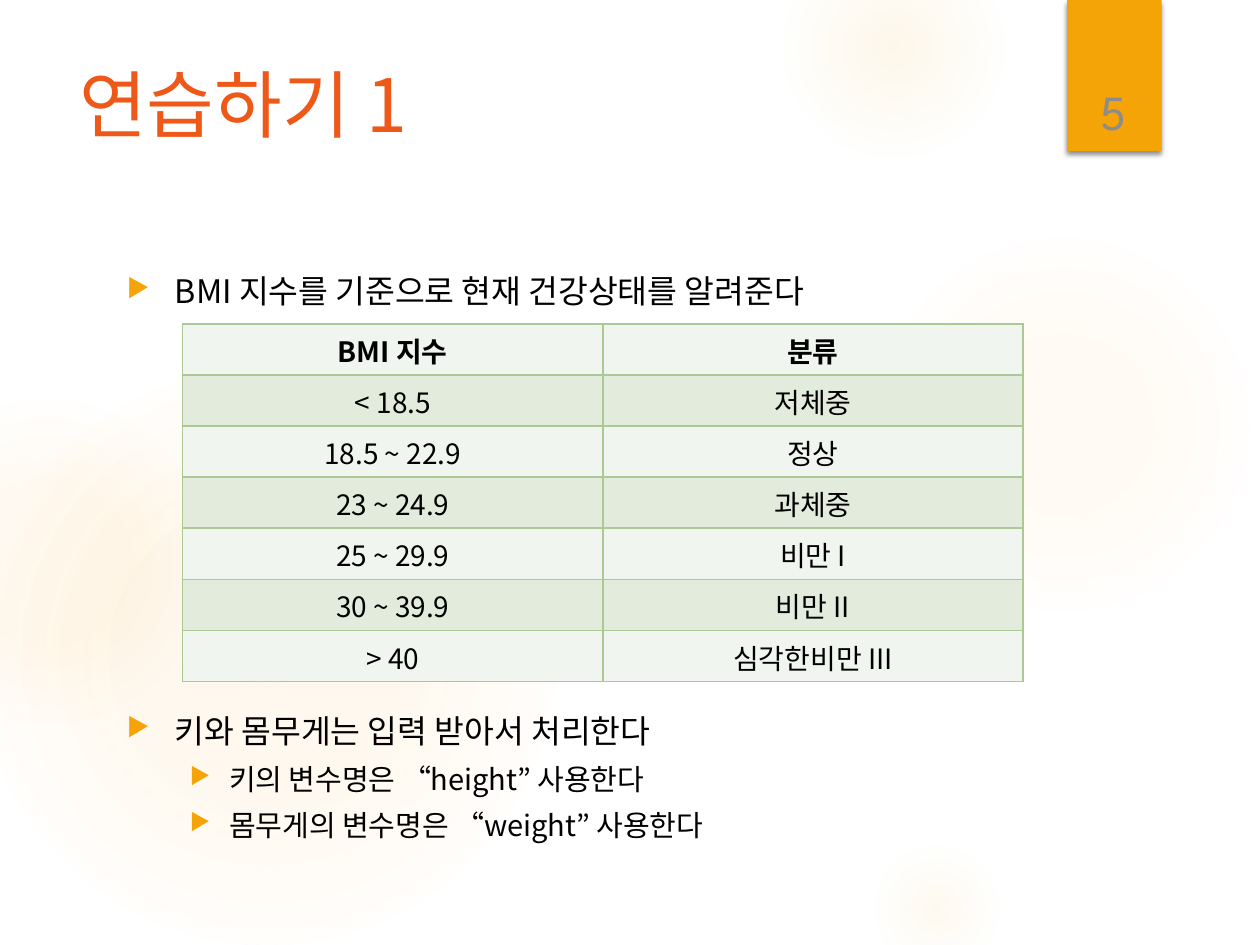
import pptx
import pptx.dml.color
import pptx.enum.shapes
import pptx.enum.text
import pptx.oxml
import pptx.oxml.ns
import pptx.util
from dataclasses import dataclass
from typing import Any

Inches = pptx.util.Inches
Pt = pptx.util.Pt
RGBColor = pptx.dml.color.RGBColor
Align = pptx.enum.text.PP_ALIGN
Anchor = pptx.enum.text.MSO_ANCHOR
ShapeType = pptx.enum.shapes.MSO_SHAPE

AMBER = RGBColor(0xF5, 0xA4, 0x08)
GLOW = RGBColor(0xFA, 0xC9, 0x6A)
ORANGE = RGBColor(0xEE, 0x58, 0x18)
BLACK = RGBColor(0, 0, 0)
GRAY = RGBColor(0x8C, 0x8C, 0x8C)
BORDER = RGBColor(0xAC, 0xC9, 0x95)
ROW_FILLS = (RGBColor(0xF1, 0xF5, 0xEF), RGBColor(0xE3, 0xEB, 0xDD))
KOREAN_FONT = "Noto Sans CJK KR"
NUMBER_FONT = "League Spartan"
NAMESPACE = pptx.oxml.ns.nsdecls("a")


@dataclass(frozen=True)
class GlowCircle:
    left: float
    top: float
    size: float
    stops: tuple[tuple[int, int], ...]


@dataclass(frozen=True)
class BulletLine:
    text: str
    size: float
    level: int = 0
    space_before: float = 0


CIRCLES = (
    GlowCircle(6.89, 1.83, 3.08, ((0, 7), (36, 6), (69, 0))),
    GlowCircle(6.22, -0.5, 1.75, ((0, 14), (36, 7), (73, 0))),
    GlowCircle(6.89, 6.67, 1.08, ((0, 10), (31, 5), (66, 0))),
    GlowCircle(-0.17, 2.92, 4.58, ((0, 11), (36, 10), (75, 0))),
    GlowCircle(-0.92, 3.17, 2.58, ((0, 8), (36, 8), (72, 0))),
)
BULLETS = (
    BulletLine("BMI 지수를 기준으로 현재 건강상태를 알려준다", 18.5),
    BulletLine("키와 몸무게는 입력 받아서 처리한다", 18.5, space_before=231),
    BulletLine("키의 변수명은 “height” 사용한다", 16.6, 1, 8.5),
    BulletLine("몸무게의 변수명은 “weight” 사용한다", 16.6, 1, 8.5),
)
INDENTS = ((0.38, -0.38), (0.81, -0.31))
BMI_ROWS = (
    ("BMI 지수", "분류"),
    ("< 18.5", "저체중"),
    ("18.5 ~ 22.9", "정상"),
    ("23 ~ 24.9", "과체중"),
    ("25 ~ 29.9", "비만 I"),
    ("30 ~ 39.9", "비만 II"),
    ("> 40", "심각한비만 III"),
)


def set_attributes(target: Any, values: dict[str, Any]) -> None:
    for name, value in values.items():
        setattr(target, name, value)


def append_xml(parent: Any, markup: str) -> None:
    parent.append(pptx.oxml.parse_xml(markup))


def add_run(paragraph: Any, text: str, size: float, color: RGBColor,
            font_name: str = KOREAN_FONT, bold: bool = False) -> None:
    run = paragraph.add_run()
    run.text = text
    set_attributes(run.font, {"size": Pt(size), "name": font_name, "bold": bold})
    run.font.color.rgb = color
    append_xml(run.font._element, f'<a:ea {NAMESPACE} typeface="{font_name}"/>')


def add_text_frame(slide: Any, left: float, top: float, width: float, height: float,
                   anchor: Any = Anchor.TOP) -> Any:
    box = slide.shapes.add_textbox(Inches(left), Inches(top), Inches(width), Inches(height))
    set_attributes(box.text_frame, {"word_wrap": True, "vertical_anchor": anchor})
    return box.text_frame


def add_plain_shape(slide: Any, kind: Any, left: float, top: float,
                    width: float, height: float) -> Any:
    shape = slide.shapes.add_shape(kind, Inches(left), Inches(top), Inches(width), Inches(height))
    shape.shadow.inherit = False
    shape.line.fill.background()
    return shape


def draw_circle(slide: Any, circle: GlowCircle) -> None:
    shape = add_plain_shape(slide, ShapeType.OVAL, circle.left, circle.top,
                            circle.size, circle.size)
    stops = "".join(
        f'<a:gs pos="{position * 1000}"><a:srgbClr val="{GLOW}">'
        f'<a:alpha val="{alpha * 1000}"/></a:srgbClr></a:gs>'
        for position, alpha in circle.stops
    )
    gradient = pptx.oxml.parse_xml(
        f'<a:gradFill {NAMESPACE} rotWithShape="1"><a:gsLst>{stops}</a:gsLst>'
        '<a:path path="circle"><a:fillToRect l="50000" t="50000" r="50000" b="50000"/>'
        '</a:path></a:gradFill>'
    )
    properties = shape._element.spPr
    properties.find(pptx.oxml.ns.qn("a:prstGeom")).addnext(gradient)


def draw_page_tab(slide: Any) -> None:
    tab = add_plain_shape(slide, ShapeType.RECTANGLE, 8.47, 0, 0.75, 1.2)
    tab.fill.solid()
    tab.fill.fore_color.rgb = AMBER
    append_xml(
        tab._element.spPr.find(pptx.oxml.ns.qn("a:effectLst")),
        f'<a:outerShdw {NAMESPACE} blurRad="{Pt(3)}" dist="{Pt(2)}" dir="5400000" '
        f'rotWithShape="0"><a:srgbClr val="{BLACK}"><a:alpha val="45000"/>'
        '</a:srgbClr></a:outerShdw>',
    )


def draw_title(slide: Any) -> None:
    paragraph = add_text_frame(slide, 0.53, 0.5, 7.72, 1.53).paragraphs[0]
    paragraph.line_spacing = 0.9
    add_run(paragraph, "연습하기 1", 42, ORANGE)


def draw_bullets(slide: Any) -> None:
    frame = add_text_frame(slide, 0.91, 2.14, 7.34, 4.59)
    for index, line in enumerate(BULLETS):
        paragraph = frame.add_paragraph() if index else frame.paragraphs[0]
        set_attributes(paragraph, {"level": line.level, "line_spacing": 0.9,
                                   "space_before": Pt(line.space_before)})
        properties = paragraph._p.get_or_add_pPr()
        margin, indent = INDENTS[line.level]
        properties.set("marL", str(Inches(margin)))
        properties.set("indent", str(Inches(indent)))
        for markup in (
            f'<a:buClr {NAMESPACE}><a:srgbClr val="{AMBER}"/></a:buClr>',
            f'<a:buSzPct {NAMESPACE} val="80000"/>',
            f'<a:buChar {NAMESPACE} char="▶"/>',
        ):
            append_xml(properties, markup)
        add_run(paragraph, line.text, line.size, BLACK)


def draw_cell(cell: Any, text: str, fill: RGBColor, bold: bool) -> None:
    properties = cell._tc.get_or_add_tcPr()
    for side in ("lnL", "lnR", "lnT", "lnB"):
        append_xml(properties, f'<a:{side} {NAMESPACE} w="{Pt(1)}"><a:solidFill>'
                               f'<a:srgbClr val="{BORDER}"/></a:solidFill></a:{side}>')
    cell.fill.solid()
    cell.fill.fore_color.rgb = fill
    paragraph = cell.text_frame.paragraphs[0]
    paragraph.alignment = Align.CENTER
    add_run(paragraph, text, 16, BLACK, bold=bold)


def draw_bmi_table(slide: Any) -> None:
    table = slide.shapes.add_table(len(BMI_ROWS), 2, Inches(1.45), Inches(2.57),
                                   Inches(6.67), Inches(2.84)).table
    for row_index, row in enumerate(BMI_ROWS):
        for column_index, text in enumerate(row):
            draw_cell(table.cell(row_index, column_index), text,
                      ROW_FILLS[row_index % 2], row_index == 0)


def draw_page_number(slide: Any) -> None:
    paragraph = add_text_frame(slide, 8.49, 0.32, 0.69, 0.84, Anchor.BOTTOM).paragraphs[0]
    paragraph.alignment = Align.CENTER
    add_run(paragraph, "5", 28, GRAY, NUMBER_FONT)


def main() -> None:
    presentation = pptx.Presentation()
    set_attributes(presentation, {"slide_width": Inches(10), "slide_height": Inches(7.5)})
    slide = presentation.slides.add_slide(presentation.slide_layouts[6])
    for circle in CIRCLES:
        draw_circle(slide, circle)
    for draw in (draw_page_tab, draw_title, draw_bullets, draw_bmi_table, draw_page_number):
        draw(slide)
    presentation.save("out.pptx")


if __name__ == "__main__":
    main()
